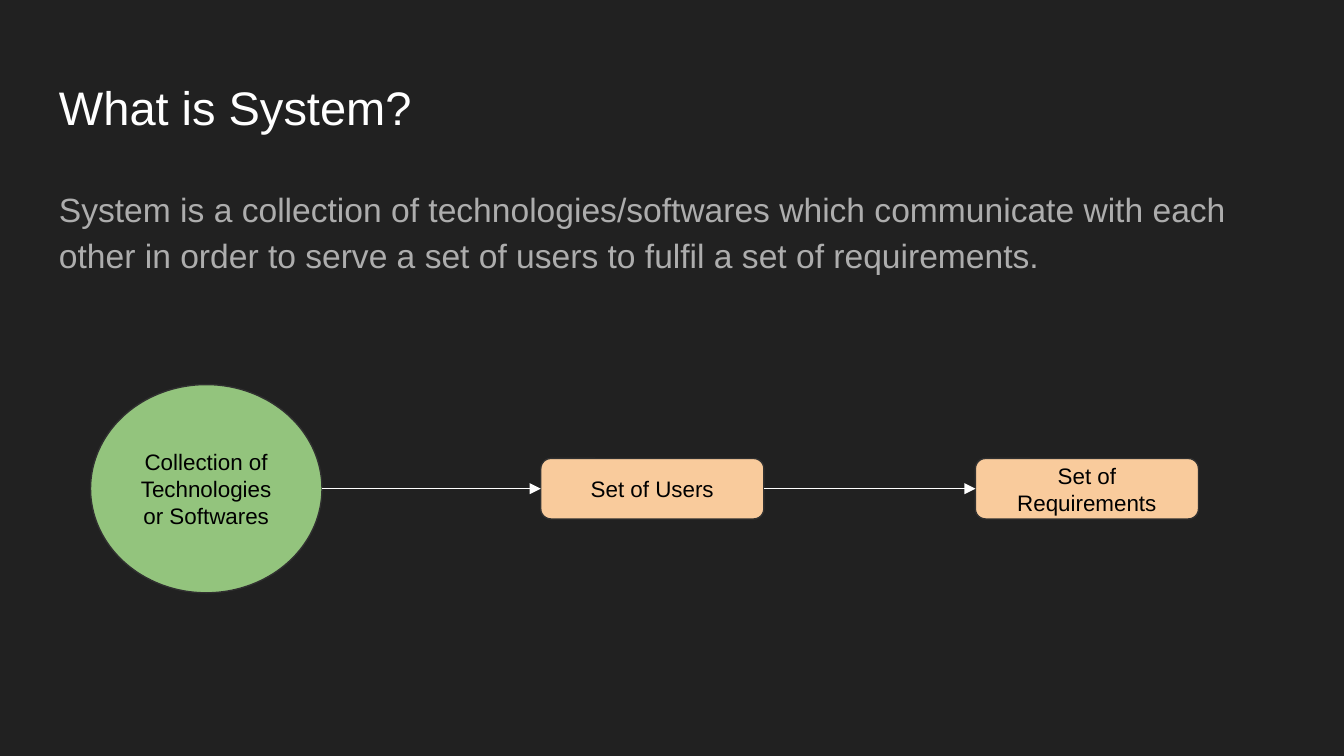
from lxml import etree
from pptx import Presentation
from pptx import util as u
from pptx.dml.color import RGBColor
from pptx.enum import shapes, text
from pptx.oxml import ns

FONT = "Arial"
MIDDLE = 64.65


def color(value):
    """Turn a hex string into a colour."""
    return RGBColor.from_string(value)


def write(sp, content, size=12, fill="000000", align=text.PP_ALIGN.LEFT,
          anchor=text.MSO_ANCHOR.TOP, spacing=None, after=None):
    """Put one formatted paragraph into a shape."""
    tf = sp.text_frame
    tf.word_wrap = True
    tf.vertical_anchor = anchor
    tf.margin_left = tf.margin_right = u.Inches(0.1)
    tf.margin_top = tf.margin_bottom = u.Inches(0.1)
    p = tf.paragraphs[0]
    p.alignment = align
    if spacing is not None:
        p.line_spacing = spacing
    if after is not None:
        p.space_after = u.Pt(after)
    r = p.add_run()
    r.text = content
    r.font.name = FONT
    r.font.size = u.Pt(size)
    r.font.color.rgb = color(fill)


class Deck:
    """Hold the style and the current slide; lengths are percent of its size."""

    background, edge, arrow_color, weight = "212121", "303030", "FFFFFF", 0.75

    def __init__(self, width):
        """Start a 16:9 presentation with one blank slide."""
        self.prs = Presentation()
        self.prs.slide_width = u.Inches(width)
        self.prs.slide_height = u.Inches(width * 9 / 16)
        self.s = self.prs.slides.add_slide(self.prs.slide_layouts[6])
        self.s.background.fill.solid()
        self.s.background.fill.fore_color.rgb = color(self.background)

    def x(self, share):
        """Convert a share of the width."""
        return round(self.prs.slide_width * share / 100)

    def y(self, share):
        """Convert a share of the height."""
        return round(self.prs.slide_height * share / 100)

    def text(self, top, height, content, **fmt):
        """Add a text box as wide as the content area."""
        sp = self.s.shapes.add_textbox(
            self.x(3.41), self.y(top), self.x(93.18), self.y(height))
        write(sp, content, **fmt)

    def node(self, kind, left, width, height, fill, label):
        """Add a labelled shape centred on the middle row."""
        sp = self.s.shapes.add_shape(
            kind, self.x(left), self.y(MIDDLE - height / 2),
            self.x(width), self.y(height))
        sp.shadow.inherit = False
        sp.fill.solid()
        sp.fill.fore_color.rgb = color(fill)
        sp.line.color.rgb = color(self.edge)
        sp.line.width = u.Pt(self.weight)
        write(sp, label, align=text.PP_ALIGN.CENTER,
              anchor=text.MSO_ANCHOR.MIDDLE)
        return sp

    def arrow(self, start, end):
        """Join the facing sides of two nodes with an arrow."""
        row = self.y(MIDDLE)
        sp = self.s.shapes.add_connector(
            shapes.MSO_CONNECTOR.STRAIGHT,
            start.left + start.width, row, end.left, row)
        sp.line.color.rgb = color(self.arrow_color)
        sp.line.width = u.Pt(self.weight)
        etree.SubElement(sp.line._get_or_add_ln(), ns.qn("a:tailEnd"),
                         type="triangle")
        etree.SubElement(sp._element.spPr, ns.qn("a:effectLst"))


def main():
    """Build the slide and save it."""
    deck = Deck(10)
    deck.text(8.65, 11.2, "What is System?", size=25.2, fill="FFFFFF")
    deck.text(22.4, 66.4,
              "System is a collection of technologies/softwares which "
              "communicate with each other in order to serve a set of users "
              "to fulfil a set of requirements.",
              size=18, fill="ADADAD", spacing=1.15, after=12)
    oval = shapes.MSO_SHAPE.OVAL
    box = shapes.MSO_SHAPE.ROUNDED_RECTANGLE
    nodes = [
        deck.node(oval, 6.74, 17.22, 27.55, "93C47D",
                  "Collection of Technologies or Softwares"),
        deck.node(box, 40.24, 16.6, 8, "F9CB9C", "Set of Users"),
        deck.node(box, 72.58, 16.6, 8, "F9CB9C", "Set of Requirements"),
    ]
    for start, end in zip(nodes, nodes[1:]):
        deck.arrow(start, end)
    deck.prs.save("out.pptx")


if __name__ == "__main__":
    main()
